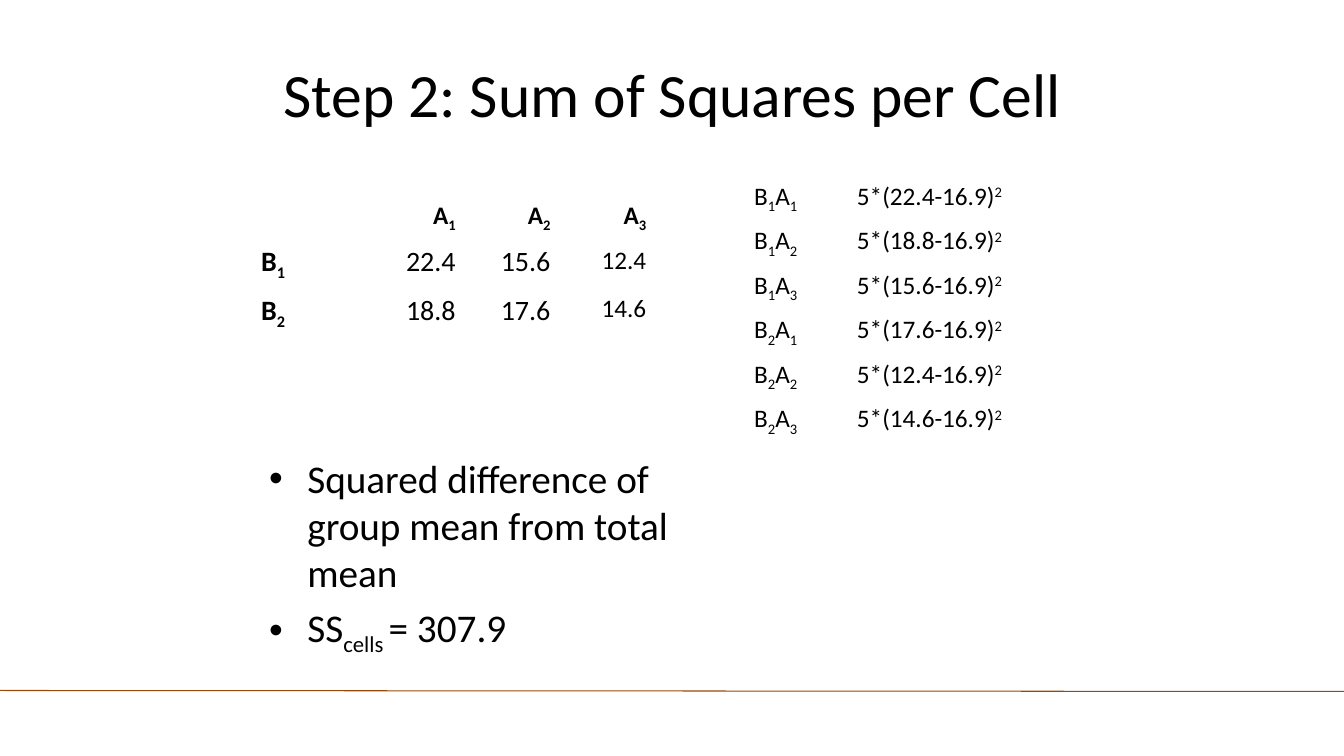
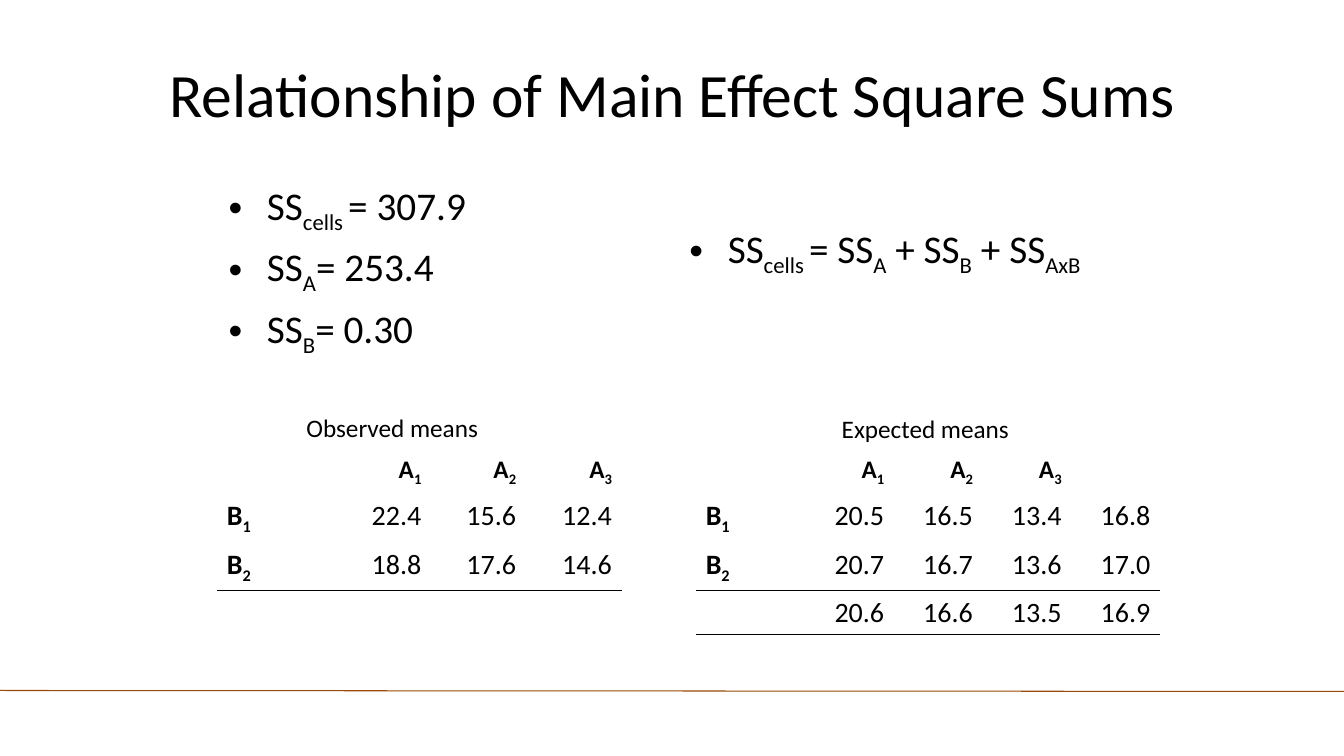
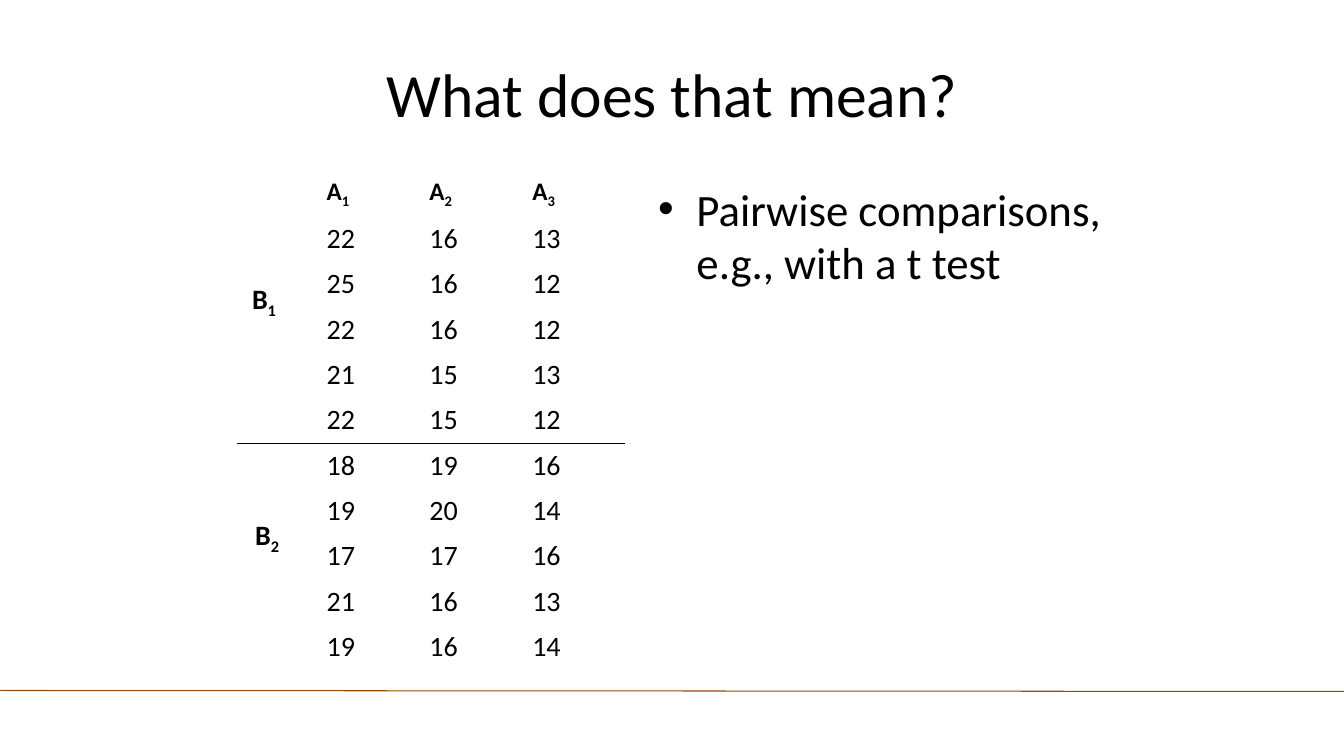
from pptx import Presentation
from pptx.dml.color import RGBColor
from pptx.enum.shapes import MSO_CONNECTOR
from pptx.enum.text import MSO_ANCHOR, PP_ALIGN
from pptx.oxml import parse_xml
from pptx.oxml.ns import nsdecls, qn
from pptx.oxml.xmlchemy import OxmlElement
from pptx.util import Inches, Pt

BLACK = RGBColor(0, 0, 0)
BROWN = RGBColor(0x98, 0x48, 0x07)
FONT = "Calibri"
NO_GRID = "{2D5ABB26-0587-4C30-8999-92F81FD0307C}"
MEANS_ROW = 0.21
SCORE_ROW = 0.45
GROUPS = ["A|1", "A|2", "A|3"]
OBSERVED = [["22.4", "15.6", "12.4"], ["18.8", "17.6", "14.6"]]
SS_CELLS = "SS|cells |= 307.9"


def write(paragraph, text, size=18, bold=False, align=PP_ALIGN.LEFT, bullet=False, before=0.0):
    """Write text where every second |-part is a subscript, or a superscript after ^."""
    paragraph.alignment = align
    paragraph.space_before = Pt(size * before)
    for index, part in enumerate(text.split("|")):
        run = paragraph.add_run()
        run.text = part.lstrip("^")
        run.font.name, run.font.size, run.font.bold = FONT, Pt(size), bold
        run.font.color.rgb = BLACK
        if index % 2:
            run.font._element.set("baseline", "30000" if part.startswith("^") else "-25000")
    if bullet:
        properties = paragraph._p.get_or_add_pPr()
        properties.set("marL", str(Inches(0.38)))
        properties.set("indent", str(Inches(-0.38)))
        properties.append(parse_xml(f'<a:buFont {nsdecls("a")} typeface="Arial"/>'))
        properties.append(parse_xml(f'<a:buChar {nsdecls("a")} char="•"/>'))


def add_text(slide, left, top, width, height, lines, **style):
    """Add a wrapping text box with one paragraph per line."""
    frame = slide.shapes.add_textbox(*map(Inches, (left, top, width, height))).text_frame
    frame.word_wrap = True
    for index, line in enumerate(lines):
        write(frame.add_paragraph() if index else frame.paragraphs[0], line, **style)


def add_border(cell, side):
    """Draw a thin black border on one side of a cell, lnT or lnB."""
    border = parse_xml(
        f'<a:{side} {nsdecls("a")} w="12700"><a:solidFill><a:srgbClr val="{BLACK}"/>'
        f"</a:solidFill></a:{side}>")
    cell._tc.get_or_add_tcPr().insert_element_before(border, "a:lnB", "a:noFill")


def add_grid(slide, left, top, widths, rows, style, row_height, height=None, ruled=()):
    """Add a plain table; style gives each cell's format, ruled the rows underlined."""
    frame = slide.shapes.add_table(
        len(rows), len(widths), Inches(left), Inches(top),
        Inches(sum(widths)), Inches(row_height * len(rows)))
    grid = frame.table
    grid.first_row = grid.horz_banding = False
    grid._tbl.tblPr.find(qn("a:tableStyleId")).text = NO_GRID
    for column, width in zip(grid.columns, widths):
        column.width = Inches(width)
    for r, row in enumerate(rows):
        grid.rows[r].height = Inches(row_height)
        for c, text in enumerate(row):
            cell = grid.cell(r, c)
            cell.fill.background()
            if text:
                write(cell.text_frame.paragraphs[0], text, **style(r, c))
            if r - 1 in ruled:
                add_border(cell, "lnT")
            if r in ruled:
                add_border(cell, "lnB")
    if height:
        frame.height = Inches(height)
    return grid


def add_level_label(slide, left, top, width, height, text, side_margin, top_margin):
    """Add a one-cell table that names a factor level beside its scores."""
    grid = add_grid(slide, left, top, [width], [[text]],
                    lambda r, c: dict(size=20, bold=True), height)
    cell = grid.cell(0, 0)
    cell.margin_left = cell.margin_right = Inches(side_margin)
    cell.margin_top = Inches(top_margin)


def means_style(r, c):
    """Format a table of means: bold headings, figures to the right."""
    return dict(size=20 if r else 18, bold=r == 0 or c == 0,
                align=PP_ALIGN.RIGHT if c else PP_ALIGN.LEFT)


def step_style(r, c):
    """Format the means of the first slide, whose last column is smaller."""
    return {**means_style(r, c), **({"size": 18} if c == 3 else {})}


def score_style(r, c):
    """Format a table of scores below bold headings."""
    return dict(size=20 if r else 18, bold=r == 0)


def means_rows(means):
    """Put the group names above and the factor levels beside the means."""
    headings = ["", *GROUPS] + [""] * (len(means[0]) - len(GROUPS))
    return [headings] + [[f"B|{level}", *row] for level, row in enumerate(means, 1)]


def add_footer_rule(prs, slide):
    """Draw the footer rule and move it to the slide master."""
    rule = slide.shapes.add_connector(
        MSO_CONNECTOR.STRAIGHT, 0, Inches(6.85), prs.slide_width, Inches(6.86))
    rule.line.color.rgb = BROWN
    rule.line.width = Pt(0.75)
    rule._element.spPr.append(OxmlElement("a:effectLst"))
    rule._element.nvCxnSpPr.cNvPr.set("id", "20")
    prs.slide_master.shapes._spTree.append(rule._element)


def add_titled_slide(prs, text):
    """Add a title-only slide with the shared title style."""
    slide = prs.slides.add_slide(prs.slide_layouts[5])
    title = slide.shapes.title
    title.left, title.top, title.width, title.height = map(Inches, (0.67, 0.3, 12, 1.25))
    title.text_frame.vertical_anchor = MSO_ANCHOR.MIDDLE
    write(title.text_frame.paragraphs[0], text, size=44, align=PP_ALIGN.CENTER)
    return slide


def build_step(prs):
    """Build the slide on the sum of squares per cell."""
    slide = add_titled_slide(prs, "Step 2: Sum of Squares per Cell")
    add_footer_rule(prs, slide)
    add_text(slide, 2.57, 4.46, 4.49, 2.13,
             ["Squared difference of group mean from total mean", SS_CELLS],
             size=28, bullet=True, before=0.2)
    means = ["22.4", "18.8", "15.6", "17.6", "12.4", "14.6"]
    squares = [[f"B|{i // 3 + 1}|A|{i % 3 + 1}", f"5*(|{mean}-16.9)|^2".replace("(|", "(")]
               for i, mean in enumerate(means)]
    add_grid(slide, 7.38, 1.75, [1.02, 2.13], squares, lambda r, c: dict(size=18),
             0.41, height=2.43)
    add_grid(slide, 2.49, 1.94, [1.19, 0.94, 0.94, 0.95], means_rows(OBSERVED),
             step_style, MEANS_ROW, height=1.3)


def build_relationship(prs):
    """Build the slide comparing observed and expected means."""
    slide = add_titled_slide(prs, "Relationship of Main Effect Square Sums")
    add_text(slide, 2.17, 1.75, 4.5, 4.95, [SS_CELLS, "SS|A|= 253.4", "SS|B|= 0.30"],
             size=28, bullet=True, before=0.2)
    expected = [["20.5", "16.5", "13.4", "16.8"], ["20.7", "16.7", "13.6", "17.0"]]
    totals = ["", "20.6", "16.6", "13.5", "16.9"]
    add_grid(slide, 2.15, 4.46, [1.26, 0.87, 0.94, 0.95],
             means_rows(OBSERVED) + [[""] * 4], means_style, MEANS_ROW,
             height=1.73, ruled=(2,))
    add_grid(slide, 6.9, 4.46, [1.26, 0.71] + [0.88] * 3,
             means_rows(expected) + [totals, [""] * 5], means_style, MEANS_ROW,
             height=2.13, ruled=(2, 3))
    add_text(slide, 6.74, 2.18, 4.6, 0.57, ["SS|cells |= SS|A| + SS|B| + SS|AxB"],
             size=28, bullet=True)
    add_text(slide, 2.94, 4.04, 1.95, 0.4, ["Observed means"])
    add_text(slide, 8.25, 4.05, 1.95, 0.4, ["Expected means"])


def build_meaning(prs):
    """Build the slide with the scores and the pairwise comparisons."""
    slide = add_titled_slide(prs, "What does that mean?")
    first = [(22, 16, 13), (25, 16, 12), (22, 16, 12), (21, 15, 13), (22, 15, 12)]
    second = [(18, 19, 16), (19, 20, 14), (17, 17, 16), (21, 16, 13), (19, 16, 14)]
    first_rows, second_rows = ([["", *map(str, row)] for row in block]
                               for block in (first, second))
    widths = [0.79] + [1.02] * 3
    add_level_label(slide, 1.23, 1.75, 9.01, 2.7, "B|1", side_margin=1.27, top_margin=1.06)
    add_text(slide, 6.43, 1.75, 4.74, 4.95, ["Pairwise comparisons, e.g., with a t test"],
             size=32, bullet=True, before=0.2)
    add_grid(slide, 2.35, 1.7, widths, [["", *GROUPS]] + first_rows, score_style,
             SCORE_ROW, ruled=(5,))
    add_grid(slide, 2.35, 4.4, widths, second_rows, lambda r, c: dict(size=20), SCORE_ROW)
    add_level_label(slide, 2.43, 4.44, 0.71, 2.25, "B|2", side_margin=0.1, top_margin=0.71)


def main():
    """Build and save the presentation."""
    prs = Presentation()
    prs.slide_width, prs.slide_height = Inches(13.33), Inches(7.5)
    build_step(prs)
    build_relationship(prs)
    build_meaning(prs)
    prs.save("out.pptx")


if __name__ == "__main__":
    main()
